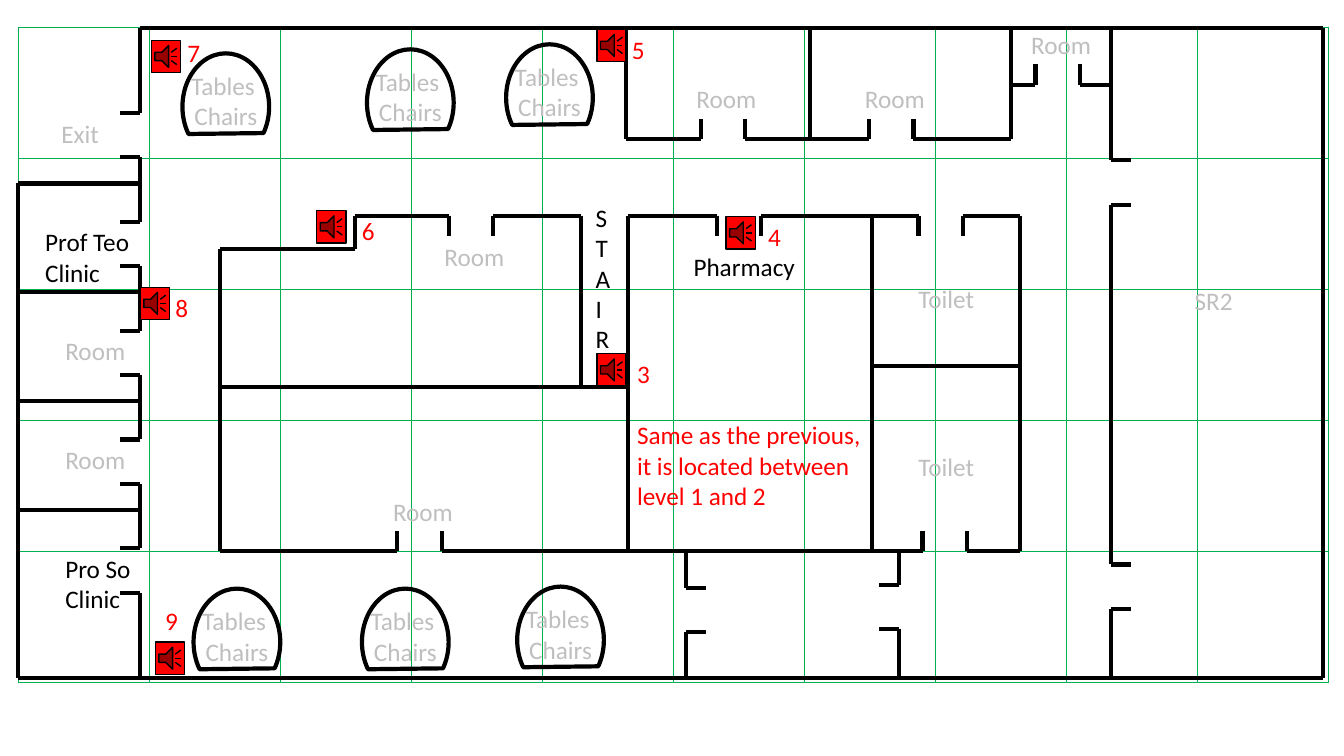
from lxml.etree import SubElement
from pptx import Presentation
from pptx.dml.color import RGBColor
from pptx.enum.shapes import MSO_CONNECTOR, MSO_SHAPE
from pptx.enum.text import MSO_AUTO_SIZE, PP_ALIGN
from pptx.oxml.ns import qn
from pptx.util import Inches, Pt

BLACK, GREY, RED, GREEN = "000000", "BFBFBF", "FF0000", "00B050"

# Walls that run down the plan, from west to east
WEST, CLINIC_EAST, WARD_WEST, WARD_STEP = 0.18, 1.39, 2.18, 3.52
STAIR_WEST, STAIR_EAST, PHARMACY_EAST, TOILET_EAST = 5.76, 6.23, 8.65, 10.12
TOP_ROOM_WEST, TOP_ROOM_SPLIT, TOP_ROOM_EAST = 6.21, 8.03, 10.03
PASSAGE_WEST, PASSAGE_EAST, HALL_WEST, EAST = 6.8, 8.92, 11.02, 13.12

# Walls that run across the plan, from north to south
NORTH, STORE_SOUTH, TOP_ROOM_SOUTH, CORE_NORTH = 0.28, 0.84, 1.38, 2.14
WARD_NORTH, TOILET_SPLIT, WARD_SPLIT, CORE_SOUTH, SOUTH = 2.47, 3.63, 3.84, 5.47, 6.73

# The clinics repeat at one pitch
CLINIC_PITCH = 1.08
CLINIC_WALLS = [1.82 + CLINIC_PITCH * number for number in range(4)]
CLINIC_DOORS = [1.12 + CLINIC_PITCH * number for number in range(5)]

DOOR_GAP, JAMB = 0.44, 0.2


def color(hex_text):
    return RGBColor.from_string(hex_text)


def write_text(frame, text, size=18, font="Calibri", ink=BLACK, align=PP_ALIGN.LEFT, gaps=None):
    """One paragraph per line; gaps maps a paragraph number to the points above it."""
    for number, line in enumerate(text.split("\n")):
        para = frame.paragraphs[0] if number == 0 else frame.add_paragraph()
        para.alignment = align
        para.space_before = Pt((gaps or {}).get(number, 0))
        span = para.add_run()
        span.text = line
        span.font.size = Pt(size)
        span.font.name = font
        span.font.color.rgb = color(ink)


class FloorPlan:
    wall_width = 3

    def __init__(self, page):
        self.page = page

    def grid(self, left, top, columns, rows, side):
        table = self.page.shapes.add_table(
            rows, columns, Inches(left), Inches(top),
            Inches(columns * side), Inches(rows * side)).table
        table.first_row = table.horz_banding = False
        for cell in table.iter_cells():
            properties = cell._tc.get_or_add_tcPr()
            for edge in ("a:lnL", "a:lnR", "a:lnT", "a:lnB"):
                border = SubElement(properties, qn(edge), w=str(Pt(1)))
                fill = SubElement(border, qn("a:solidFill"))
                SubElement(fill, qn("a:srgbClr"), val=GREEN)
            cell.fill.background()

    def line(self, x1, y1, x2, y2):
        line = self.page.shapes.add_connector(
            MSO_CONNECTOR.STRAIGHT, Inches(x1), Inches(y1), Inches(x2), Inches(y2))
        line.line.color.rgb = color(BLACK)
        line.line.width = Pt(self.wall_width)
        SubElement(line._element.spPr, qn("a:effectLst"))

    def wall_across(self, y, west, east, doors=(), jamb=JAMB):
        """A wall broken by doors; a negative jamb points up."""
        sides = [side for door in doors for side in (door, door + DOOR_GAP)]
        stops = [west, *sides, east]
        for start, end in zip(stops[::2], stops[1::2]):
            self.line(start, y, end, y)
        for x in sides:
            self.line(x, y, x, y + jamb)

    def wall_down(self, x, north, south, doors=(), jamb=JAMB):
        """A wall broken by doors; a negative jamb points left."""
        sides = [side for door in doors for side in (door, door + DOOR_GAP)]
        stops = [north, *sides, south]
        for start, end in zip(stops[::2], stops[1::2]):
            self.line(x, start, x, end)
        for y in sides:
            self.line(x, y, x + jamb, y)

    def shape(self, kind, left, top, width, height, line_width, fill=None):
        shape = self.page.shapes.add_shape(
            kind, Inches(left), Inches(top), Inches(width), Inches(height))
        shape.shadow.inherit = False
        shape.line.color.rgb = color(BLACK)
        shape.line.width = Pt(line_width)
        if fill:
            shape.fill.solid()
            shape.fill.fore_color.rgb = color(fill)
        else:
            shape.fill.background()
        return shape

    def label(self, text, left, top, width, height=0.4, wrap=False, **style):
        box = self.page.shapes.add_textbox(
            Inches(left), Inches(top), Inches(width), Inches(height))
        box.text_frame.word_wrap = wrap
        box.text_frame.auto_size = MSO_AUTO_SIZE.SHAPE_TO_FIT_TEXT
        write_text(box.text_frame, text, **style)

    def room(self, y, west, east, doors, jamb):
        """A wall with a room name on the jamb side of each door."""
        self.wall_across(y, west, east, doors, jamb)
        for door in doors:
            self.label("Room", door - 0.14, y - 0.6 if jamb < 0 else y + 0.2, 0.8, ink=GREY)

    def seating(self, left, top):
        chord = self.shape(MSO_SHAPE.CHORD, left, top, 0.86, 1.06, self.wall_width)
        chord.adjustments[0], chord.adjustments[1] = 86.324, 20.93
        self.label("Tables \nChairs", left - 0.02, top + 0.12, 0.9, 0.71,
                   ink=GREY, align=PP_ALIGN.CENTER)

    def speaker(self, text, left, top, across=0.3, down=0, width=0.33, height=0.4, **style):
        """A sound button; its text stands across and down from its corner."""
        self.shape(MSO_SHAPE.ACTION_BUTTON_SOUND, left, top, 0.29, 0.32, 1, RED)
        self.label(text, left + across, top + down, width, height, ink=RED, **style)


deck = Presentation()
deck.slide_width, deck.slide_height = Inches(13.33), Inches(7.5)
plan = FloorPlan(deck.slides.add_slide(deck.slide_layouts[6]))
plan.grid(WEST, 0.27, columns=10, rows=5, side=1.3)

# Outer walls
plan.wall_across(NORTH, CLINIC_EAST, EAST)
plan.wall_across(SOUTH, WEST, CLINIC_EAST)
plan.wall_across(SOUTH, CLINIC_EAST, EAST)
plan.wall_down(WEST, CLINIC_WALLS[0], SOUTH)
plan.wall_down(EAST, NORTH, SOUTH)

# Clinics: one name beside each door
plan.wall_down(CLINIC_EAST, NORTH, SOUTH, CLINIC_DOORS, -JAMB)
for y in CLINIC_WALLS:
    plan.wall_across(y, WEST, CLINIC_EAST)
clinics = [("Exit", 0.51, GREY), ("Prof Teo Clinic", 0.35, BLACK), ("Room", 0.55, GREY),
           ("Room", 0.55, GREY), ("Pro So Clinic", 0.55, BLACK)]
for (name, left, ink), door in zip(clinics, CLINIC_DOORS):
    plan.label(name, left, door, 1.45 - left, wrap=True, ink=ink)

# Rooms along the top
plan.room(TOP_ROOM_SOUTH, TOP_ROOM_WEST, TOP_ROOM_EAST, [6.95, 8.62], -JAMB)
plan.room(STORE_SOUTH, TOP_ROOM_EAST, HALL_WEST, [10.27], -JAMB)
for x in (TOP_ROOM_WEST, TOP_ROOM_SPLIT, TOP_ROOM_EAST):
    plan.wall_down(x, NORTH, TOP_ROOM_SOUTH)

# Wards and stairs
plan.room(CORE_NORTH, WARD_STEP, STAIR_WEST, [4.45], JAMB)
plan.room(CORE_SOUTH, WARD_WEST, PHARMACY_EAST, [3.94], -JAMB)
plan.wall_down(WARD_STEP, CORE_NORTH, WARD_NORTH)
plan.wall_across(WARD_NORTH, WARD_WEST, WARD_STEP)
plan.wall_down(WARD_WEST, WARD_NORTH, CORE_SOUTH)
plan.wall_across(WARD_SPLIT, WARD_WEST, STAIR_EAST)
plan.wall_down(STAIR_WEST, CORE_NORTH, WARD_SPLIT)
plan.wall_down(STAIR_EAST, CORE_NORTH, CORE_SOUTH)
plan.label("\n".join("STAIRS"), 5.81, 1.96, 0.35, 1.92)

# Pharmacy and toilets
plan.wall_across(CORE_NORTH, STAIR_EAST, PHARMACY_EAST, [7.11])
plan.label("Pharmacy", 6.78, 2.44, 1.22)
plan.wall_across(CORE_NORTH, PHARMACY_EAST, TOILET_EAST, [9.11])
plan.wall_across(CORE_SOUTH, PHARMACY_EAST, TOILET_EAST, [9.15], -JAMB)
plan.wall_across(TOILET_SPLIT, PHARMACY_EAST, TOILET_EAST)
plan.wall_down(TOILET_EAST, CORE_NORTH, CORE_SOUTH)
for north, south in [(CORE_NORTH, TOILET_SPLIT), (TOILET_SPLIT, CORE_SOUTH)]:
    plan.wall_down(PHARMACY_EAST, north, south)
    plan.label("Toilet", PHARMACY_EAST + 0.36, (north + south) / 2 - 0.12, 1.1,
               wrap=True, ink=GREY)

# Passage and hall
plan.wall_down(PASSAGE_WEST, CORE_SOUTH, SOUTH, [5.83])
plan.wall_down(PASSAGE_EAST, CORE_SOUTH, SOUTH, [5.8], -JAMB)
plan.wall_down(HALL_WEST, NORTH, SOUTH, [1.59, 5.6])
plan.label("SR2", 11.75, 2.78, 0.91, wrap=True, ink=GREY)

# Seating areas, top row then bottom row
for left, top in [(1.81, 0.53), (3.64, 0.49), (5.02, 0.44),
                  (1.92, 5.84), (3.59, 5.84), (5.13, 5.82)]:
    plan.seating(left, top)

# Numbered speakers
plan.speaker("3\nSame as the previous, \nit is located between \nlevel 1 and 2",
             5.92, 3.51, width=2.5, height=1.62, gaps={1: 22})
plan.speaker("4", 7.2, 2.15, across=0.32)
plan.speaker("5", 5.92, 0.29, across=0.25)
plan.speaker("6", 3.14, 2.09, across=0.35)
plan.speaker("7", 1.5, 0.4, across=0.26, down=-0.08)
plan.speaker("8", 1.39, 2.85, across=0.25)
plan.speaker("9", 1.54, 6.37, across=0, down=-0.41)

deck.save("out.pptx")
